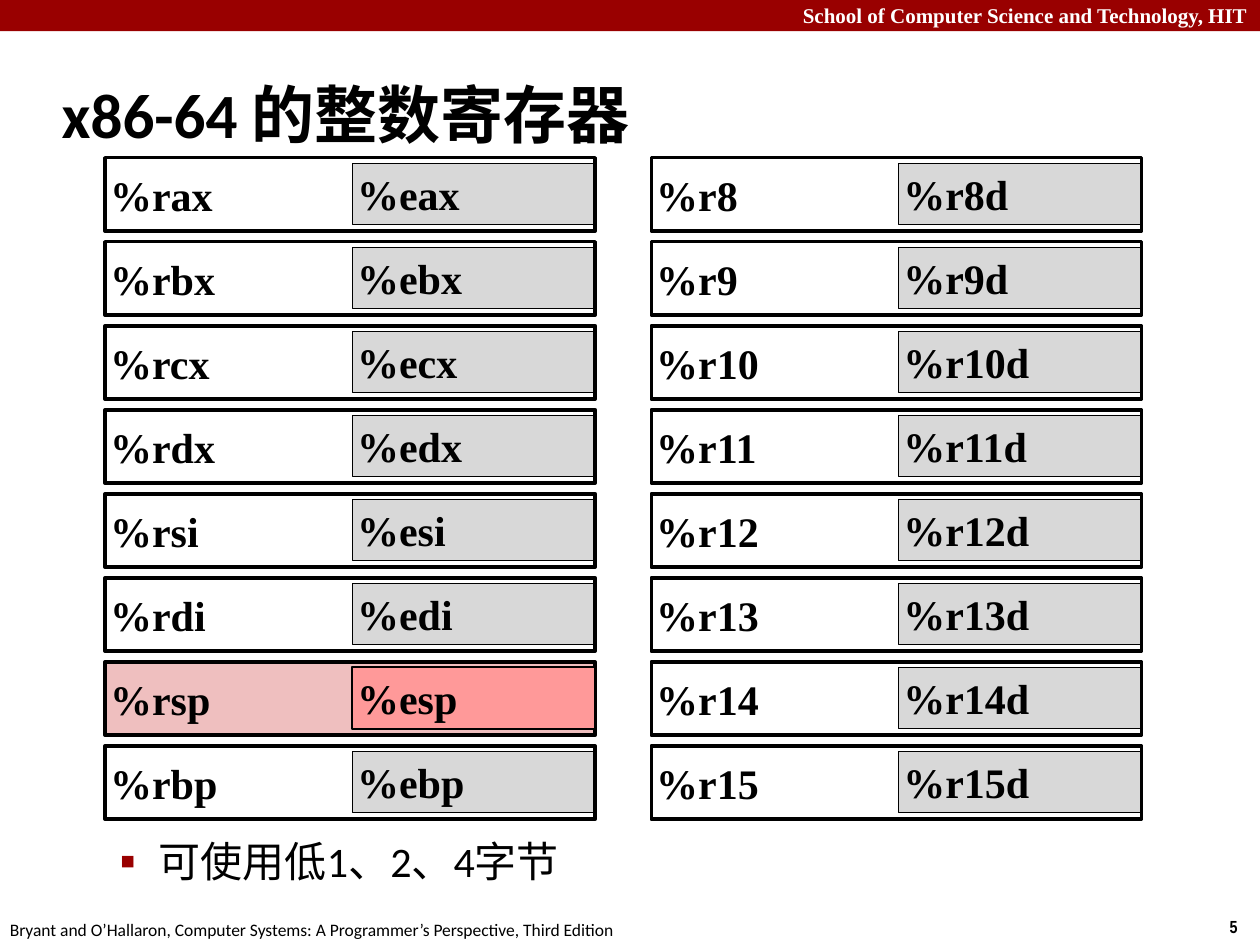
import collections
import dataclasses

import lxml.etree
import pptx
import pptx.dml.color
import pptx.enum.shapes
import pptx.enum.text
import pptx.oxml.ns
import pptx.util
from pptx.util import Cm

Box = collections.namedtuple("Box", "left top width height")
Align = pptx.enum.text.PP_ALIGN
Anchor = pptx.enum.text.MSO_ANCHOR


@dataclasses.dataclass(frozen=True)
class Theme:
    accent: str = "990000"
    ink: str = "000000"
    paper: str = "FFFFFF"
    half_fill: str = "D8D8D8"
    stack_fill: str = "EFBFBF"
    stack_half_fill: str = "FF9999"
    sans: str = "Calibri"
    serif: str = "Times New Roman"
    narrow: str = "Arial Narrow"
    title_size: int = 36
    text_size: int = 24
    header_size: int = 12
    footer_size: int = 10
    register_line: float = 2
    half_line: float = 0.75
    stack_half_line: float = 1


THEME = Theme()
LEGACY_REGISTERS = [
    ("%rax", "%eax"), ("%rbx", "%ebx"), ("%rcx", "%ecx"), ("%rdx", "%edx"),
    ("%rsi", "%esi"), ("%rdi", "%edi"), ("%rsp", "%esp"), ("%rbp", "%ebp"),
]
EXTENDED_REGISTERS = [(f"%r{number}", f"%r{number}d") for number in range(8, 16)]
STACK_POINTER = "%rsp"


def rgb(color):
    return pptx.dml.color.RGBColor.from_string(color)


def place(shape, box):
    shape.left, shape.top, shape.width, shape.height = map(Cm, box)


def add_run(paragraph, text, font_name, size, color=THEME.ink, bold=False):
    run = paragraph.add_run()
    run.text = text
    run.font.name = font_name
    run.font.size = pptx.util.Pt(size)
    run.font.color.rgb = rgb(color)
    run.font.bold = bold


def indent(paragraph, margin, first_line):
    properties = paragraph._p.get_or_add_pPr()
    properties.set("marL", str(Cm(margin)))
    properties.set("indent", str(Cm(first_line)))
    return properties


def add_rectangle(slide, box, fill=None, line_width=None):
    shape = slide.shapes.add_shape(
        pptx.enum.shapes.MSO_SHAPE.RECTANGLE, *map(Cm, box))
    shape.shadow.inherit = False
    if fill:
        shape.fill.solid()
        shape.fill.fore_color.rgb = rgb(fill)
    else:
        shape.fill.background()
    if line_width:
        shape.line.color.rgb = rgb(THEME.ink)
        shape.line.width = pptx.util.Pt(line_width)
    else:
        shape.line.fill.background()
    return shape


def add_label(slide, box, wrap=False, alignment=Align.LEFT):
    frame = slide.shapes.add_textbox(*map(Cm, box)).text_frame
    frame.word_wrap = wrap
    paragraph = frame.paragraphs[0]
    paragraph.alignment = alignment
    return paragraph


def add_header(slide, box):
    add_rectangle(slide, box, THEME.accent)
    label_box = Box(box.left, box.top - 0.08, box.width, box.height + 0.13)
    paragraph = add_label(slide, label_box, True, Align.RIGHT)
    add_run(paragraph, "School of Computer Science and Technology, HIT",
            THEME.serif, THEME.header_size, THEME.paper, True)


def add_footer(slide, box):
    source = add_label(slide, Box(box.left - 0.05, box.top, 12.9, box.height))
    add_run(source, "Bryant and O’Hallaron, Computer Systems: "
            "A Programmer’s Perspective, Third Edition",
            THEME.sans, THEME.footer_size)
    number_width = 0.86
    number_box = Box(box.left + box.width - number_width, box.top - 0.06,
                     number_width, box.height)
    number = add_label(slide, number_box)
    add_run(number, "5", THEME.narrow, THEME.footer_size, bold=True)


def fill_title(slide, box):
    title = slide.shapes.title
    place(title, box)
    frame = title.text_frame
    frame.vertical_anchor = Anchor.MIDDLE
    frame.auto_size = pptx.enum.text.MSO_AUTO_SIZE.NONE
    paragraph = frame.paragraphs[0]
    paragraph.alignment = Align.LEFT
    indent(paragraph, 0.33, -0.33)
    add_run(paragraph, "x86-64 的整数寄存器", THEME.sans, THEME.title_size, bold=True)


def fill_body(slide, box):
    body = slide.placeholders[1]
    place(body, box)
    frame = body.text_frame
    frame.auto_size = pptx.enum.text.MSO_AUTO_SIZE.NONE
    paragraph = frame.paragraphs[0]
    paragraph.level = 1
    paragraph.space_before = pptx.util.Pt(THEME.text_size * 0.2)
    properties = indent(paragraph, 2.06, -0.79)
    qn = pptx.oxml.ns.qn
    color = lxml.etree.SubElement(properties, qn("a:buClr"))
    lxml.etree.SubElement(color, qn("a:srgbClr"), val=THEME.accent)
    lxml.etree.SubElement(properties, qn("a:buSzPct"), val="110000")
    lxml.etree.SubElement(properties, qn("a:buChar"), char="▪")
    add_run(paragraph, "可使用低1、2、4字节", THEME.sans, THEME.text_size)


def add_register_box(slide, box, name, fill, line_width):
    frame = add_rectangle(slide, box, fill, line_width).text_frame
    frame.word_wrap = True
    frame.vertical_anchor = Anchor.MIDDLE
    frame.margin_left = frame.margin_right = Cm(0.1)
    frame.margin_top = frame.margin_bottom = Cm(0.1)
    paragraph = frame.paragraphs[0]
    paragraph.alignment = Align.LEFT
    add_run(paragraph, name, THEME.serif, THEME.text_size, bold=True)


def add_register(slide, box, name, half_name):
    half_width = 4.9
    half_box = Box(box.left + box.width - half_width, box.top + 0.11, half_width, 1.24)
    full = (box, name, None, THEME.register_line)
    half = (half_box, half_name, THEME.half_fill, THEME.half_line)
    layers = [half, full]
    if name == STACK_POINTER:
        layers = [
            (box, name, THEME.stack_fill, THEME.register_line),
            (half_box, half_name, THEME.stack_half_fill, THEME.stack_half_line),
        ]
    for layer in layers:
        add_register_box(slide, *layer)


def add_register_bank(slide, box, registers):
    pitch = box.height / len(registers)
    for row, (name, half_name) in enumerate(registers):
        register_box = Box(box.left, box.top + row * pitch, box.width, 1.48)
        add_register(slide, register_box, name, half_name)


def main():
    presentation = pptx.Presentation()
    presentation.slide_width = Cm(25.4)
    presentation.slide_height = Cm(19.05)
    slide = presentation.slides.add_slide(presentation.slide_layouts[1])
    add_header(slide, Box(0, 0, 25.4, 0.63))
    fill_title(slide, Box(0.99, 1.22, 24.41, 2.11))
    add_register_bank(slide, Box(2.12, 3.18, 9.88, 13.55), LEGACY_REGISTERS)
    add_register_bank(slide, Box(13.13, 3.18, 9.88, 13.55), EXTENDED_REGISTERS)
    fill_body(slide, Box(0.89, 16.71, 20.37, 1.07))
    add_footer(slide, Box(0, 18.4, 25.4, 0.69))
    presentation.save("out.pptx")


if __name__ == "__main__":
    main()
